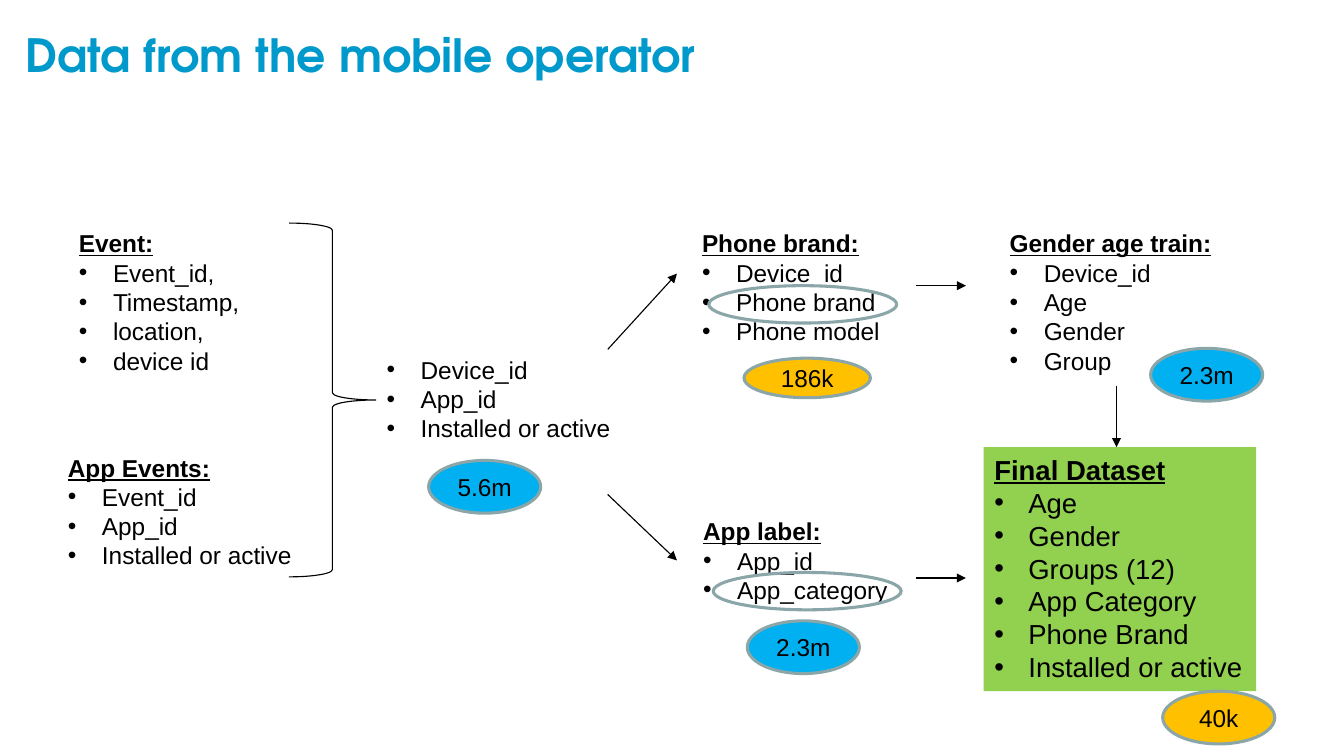
from dataclasses import dataclass

from lxml import etree
from pptx import Presentation
from pptx import util as u
from pptx.dml.color import RGBColor
from pptx.enum import shapes, text
from pptx.oxml import ns

BLACK, TITLE_BLUE, OUTLINE = "000000", "0099CC", "8AA6A8"
GREEN, ORANGE, BLUE = "92D050", "FFC000", "00B0F0"
INDENT = u.Inches(0.31)


@dataclass
class Dataset:
    heading: str
    fields: list[str]
    left: float
    top: float
    width: float
    height: float
    size: int = 16
    fill: str = ""


@dataclass
class Oval:
    left: float
    top: float
    width: float = 1.02
    height: float = 0.48
    fill: str = ""
    label: str = ""


@dataclass
class Arrow:
    x1: float
    y1: float
    x2: float
    y2: float


DATASETS = [
    Dataset("Event:", ["Event_id,", "Timestamp,", "location,", "device id"], 0.62, 2.03, 1.68, 1.48),
    Dataset("App Events:", ["Event_id", "App_id", "Installed or active"], 0.52, 4.07, 2.26, 1.18),
    Dataset("App label:", ["App_id", "App_category"], 6.3, 4.65, 1.9, 0.91),
    Dataset("Phone brand:", ["Device_id", "Phone brand", "Phone model"], 6.29, 2.03, 1.84, 1.18),
    Dataset("Gender age train:", ["Device_id", "Age", "Gender", "Group"], 9.09, 2.03, 2.06, 1.45),
    Dataset("", ["Device_id", "App_id", "Installed or active"], 3.42, 3.18, 2.26, 0.91),
    Dataset(
        "Final Dataset",
        ["Age", "Gender", "Groups (12)", "App Category", "Phone Brand", "Installed or active"],
        8.95, 4.07, 2.48, 2.22, 18, GREEN,
    ),
]

OVALS = [
    Oval(6.49, 5.21, 1.71, 0.34),
    Oval(6.45, 2.6, 1.71, 0.34),
    Oval(6.77, 3.26, 1.15, 0.36, ORANGE, "186k"),
    Oval(3.9, 4.19, fill=BLUE, label="5.6m"),
    Oval(6.8, 5.65, fill=BLUE, label="2.3m"),
    Oval(10.58, 6.29, fill=ORANGE, label="40k"),
    Oval(10.47, 3.17, fill=BLUE, label="2.3m"),
]

ARROWS = [
    Arrow(5.53, 3.18, 6.16, 2.49),
    Arrow(5.53, 4.5, 6.16, 5.1),
    Arrow(8.34, 2.6, 8.79, 2.6),
    Arrow(8.34, 5.26, 8.79, 5.26),
    Arrow(10.16, 3.51, 10.16, 4.07),
]


def color(value: str) -> RGBColor:
    return RGBColor.from_string(value)


def add_span(para, words: str, size: int, heading: bool = False,
             face: str = "Arial", ink: str = BLACK) -> None:
    span = para.add_run()
    span.text = words
    span.font.name = face
    span.font.size = u.Pt(size)
    span.font.color.rgb = color(ink)
    span.font.bold = heading
    span.font.underline = heading


def add_bullet(para) -> None:
    props = para._p.get_or_add_pPr()
    props.set("marL", str(INDENT))
    props.set("indent", str(-INDENT))
    etree.SubElement(props, ns.qn("a:buFont")).set("typeface", "Arial")
    etree.SubElement(props, ns.qn("a:buChar")).set("char", "•")


def add_shape(page, kind, left: float, top: float, width: float, height: float,
              fill: str = "", line: str = "", weight: float = 2):
    shape = page.shapes.add_shape(kind, *map(u.Inches, (left, top, width, height)))
    shape.shadow.inherit = False
    if fill:
        shape.fill.solid()
        shape.fill.fore_color.rgb = color(fill)
    else:
        shape.fill.background()
    if line:
        shape.line.color.rgb = color(line)
        shape.line.width = u.Pt(weight)
    else:
        shape.line.fill.background()
    return shape


def add_title(page, words: str) -> None:
    box = page.shapes.add_textbox(*map(u.Inches, (0.13, 0.37, 11.48, 0.42)))
    frame = box.text_frame
    frame.word_wrap = True
    frame.vertical_anchor = text.MSO_ANCHOR.BOTTOM
    para = frame.paragraphs[0]
    add_span(para, words, 30, True, "TeX Gyre Adventor", TITLE_BLUE)
    para.runs[0].font.underline = False


def add_dataset(page, data: Dataset) -> None:
    place = (data.left, data.top, data.width, data.height)
    if data.fill:
        box = add_shape(page, shapes.MSO_SHAPE.RECTANGLE, *place, fill=data.fill)
    else:
        box = page.shapes.add_textbox(*map(u.Inches, place))
    frame = box.text_frame
    frame.word_wrap = False
    frame.auto_size = text.MSO_AUTO_SIZE.SHAPE_TO_FIT_TEXT
    frame.vertical_anchor = text.MSO_ANCHOR.TOP
    lines = ([data.heading] if data.heading else []) + data.fields
    for index, words in enumerate(lines):
        para = frame.add_paragraph() if index else frame.paragraphs[0]
        para.alignment = text.PP_ALIGN.LEFT
        heading = words == data.heading
        if not heading:
            add_bullet(para)
        add_span(para, words, data.size, heading)


def add_oval(page, oval: Oval) -> None:
    shape = add_shape(page, shapes.MSO_SHAPE.OVAL, oval.left, oval.top,
                      oval.width, oval.height, oval.fill, OUTLINE)
    if oval.label:
        frame = shape.text_frame
        frame.vertical_anchor = text.MSO_ANCHOR.MIDDLE
        para = frame.paragraphs[0]
        para.alignment = text.PP_ALIGN.CENTER
        add_span(para, oval.label, 16)


def add_arrow(page, arrow: Arrow) -> None:
    ends = map(u.Inches, (arrow.x1, arrow.y1, arrow.x2, arrow.y2))
    connector = page.shapes.add_connector(shapes.MSO_CONNECTOR.STRAIGHT, *ends)
    connector.line.color.rgb = color(BLACK)
    connector.line.width = u.Pt(0.75)
    outline = connector.line._get_or_add_ln()
    etree.SubElement(outline, ns.qn("a:tailEnd")).set("type", "triangle")
    etree.SubElement(connector._element.spPr, ns.qn("a:effectLst"))


def main() -> None:
    deck = Presentation()
    deck.slide_width = u.Inches(12.23)
    deck.slide_height = u.Inches(6.88)
    page = deck.slides.add_slide(deck.slide_layouts[6])
    add_title(page, "Data from the mobile operator")
    for data in DATASETS:
        add_dataset(page, data)
    add_shape(page, shapes.MSO_SHAPE.RIGHT_BRACE, 2.63, 2.03, 0.79, 3.22,
              line=BLACK, weight=0.75)
    for arrow in ARROWS:
        add_arrow(page, arrow)
    for oval in OVALS:
        add_oval(page, oval)
    deck.save("out.pptx")


if __name__ == "__main__":
    main()
